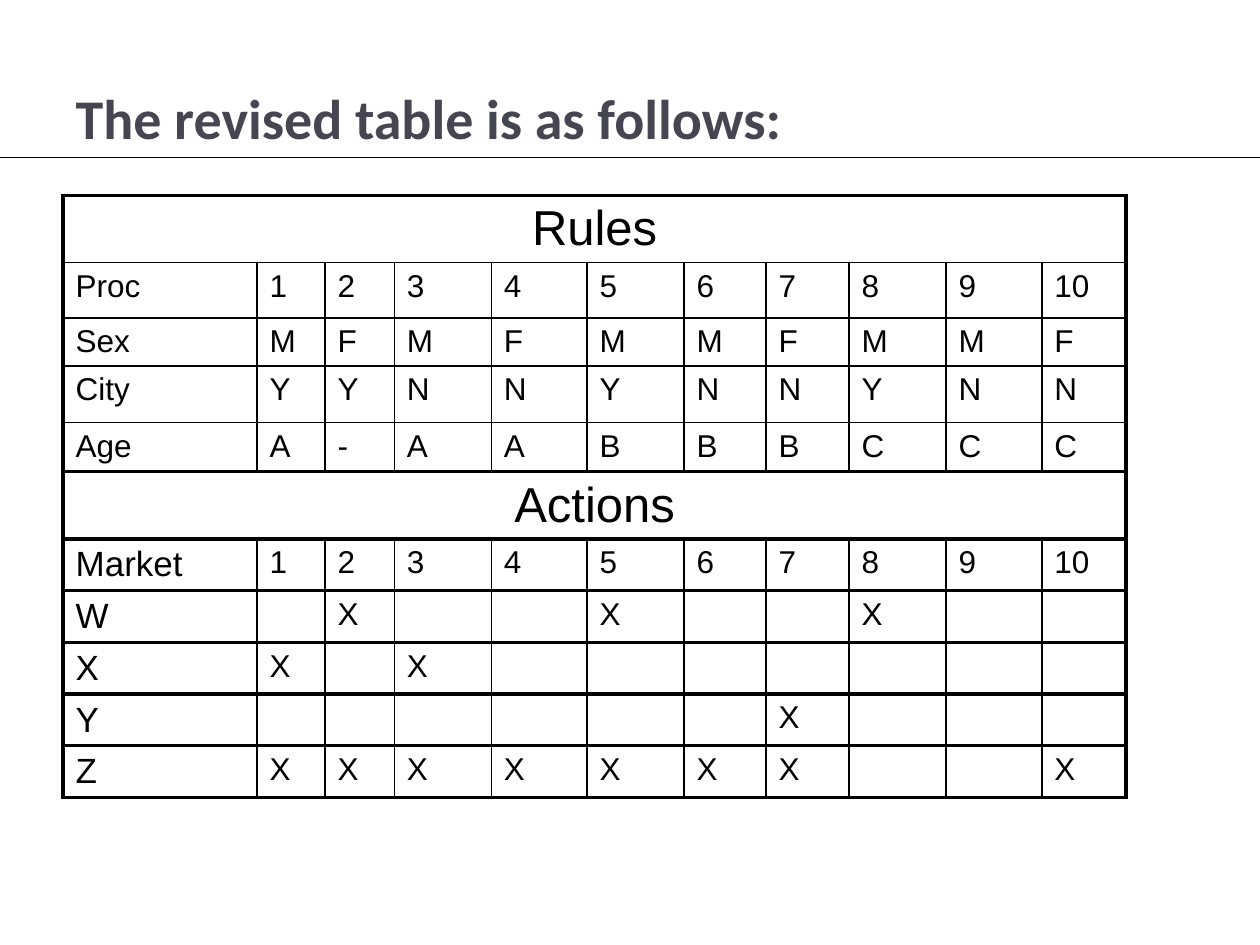
from pptx import Presentation
from pptx.dml.color import RGBColor as RGB
from pptx.enum.shapes import MSO_CONNECTOR as Line
from pptx.enum.text import MSO_ANCHOR as Anchor, PP_ALIGN as Align
from pptx.oxml.ns import qn
from pptx.util import Inches, Pt
from lxml.etree import SubElement, Element

TITLE = "The revised table is as follows:"
RULES = [
    ("Proc", "1 2 3 4 5 6 7 8 9 10"),
    ("Sex", "M F M F M M F M M F"),
    ("City", "Y Y N N Y N N Y N N"),
    ("Age", "A - A A B B B C C C"),
]
MARKETS = {"W": (2, 5, 8), "X": (1, 3), "Y": (7,), "Z": (1, 2, 3, 4, 5, 6, 7, 10)}
COLS = [1.54, 0.54, 0.55, 0.77, 0.76, 0.77, 0.65, 0.66, 0.77, 0.76, 0.67]
ROWS = [0.52, 0.44, 0.36, 0.45, 0.39, 0.52] + [0.39] * 5
THEME = {
    "ink": "000000", "title": "464653", "head": "Calibri", "body": "Arial",
    "title_size": 32, "band_size": 28, "market_size": 20, "cell_size": 18,
    "thin": 1, "thick": 2.25, "rule": 0.75,
}
ACTION_ROW = len(RULES) + 1


def grid():
    rows = [["Rules"]]
    rows += [[name, *marks.split()] for name, marks in RULES]
    rows += [["Actions"], ["Market", *RULES[0][1].split()]]
    for name, hits in MARKETS.items():
        rows.append([name] + ["X" if n in hits else "" for n in range(1, len(COLS))])
    return rows


def style(run, size, font, color, bold=False):
    run.font.size, run.font.name, run.font.bold = Pt(size), font, bold
    run.font.color.rgb = RGB.from_string(color)


def border(cell, widths):
    """Draw the left, right, top and bottom edges, in that order."""
    props = cell._tc.get_or_add_tcPr()
    for i, (side, width) in enumerate(zip("LRTB", widths)):
        edge = Element(qn(f"a:ln{side}"), w=str(Pt(width)))
        fill = SubElement(edge, qn("a:solidFill"))
        SubElement(fill, qn("a:srgbClr"), val=THEME["ink"])
        props.insert(i, edge)


def write(cell, text, size, align):
    cell.text_frame.text = text
    para = cell.text_frame.paragraphs[0]
    para.alignment = align
    gap = SubElement(para._p.get_or_add_pPr(), qn("a:spcBef"))
    SubElement(gap, qn("a:spcPct"), val="20000")
    for run in para.runs:
        style(run, size, THEME["body"], THEME["ink"])


def add_grid(slide):
    rows = grid()
    last = len(COLS)
    table = slide.shapes.add_table(
        len(rows), last, Inches(0.5), Inches(1.55),
        Inches(sum(COLS)), Inches(sum(ROWS))).table
    table.first_row = table.horz_banding = False
    for col, width in zip(table.columns, COLS):
        col.width = Inches(width)
    for row, height in zip(table.rows, ROWS):
        row.height = Inches(height)

    def across(r):
        return THEME["thick" if r == 0 or r >= ACTION_ROW else "thin"]

    def down(c):
        return THEME["thick" if c in (0, last) else "thin"]

    for r, row in enumerate(rows):
        band = len(row) == 1
        for c in range(last):
            cell = table.cell(r, c)
            cell.fill.background()
            sides = (down(0), down(last)) if band else (down(c), down(c + 1))
            border(cell, (*sides, across(r), across(r + 1)))
        if band:
            table.cell(r, 0).merge(table.cell(r, last - 1))
        for c, text in enumerate(row):
            kind = "band" if band else "market" if c == 0 and r > ACTION_ROW else "cell"
            write(table.cell(r, c), text, THEME[f"{kind}_size"],
                  Align.CENTER if band else Align.LEFT)


def add_title(slide):
    title = slide.shapes.title
    title.left, title.top = Inches(0.5), Inches(0.17)
    title.width, title.height = Inches(9), Inches(1.08)
    frame = title.text_frame
    frame.text = TITLE
    frame.vertical_anchor = Anchor.BOTTOM
    frame.paragraphs[0].alignment = Align.LEFT
    style(frame.paragraphs[0].runs[0], THEME["title_size"], THEME["head"],
          THEME["title"], True)


def add_rule(slide, y, width):
    rule = slide.shapes.add_connector(Line.STRAIGHT, 0, y, width, y)
    rule.line.color.rgb = RGB.from_string(THEME["ink"])
    rule.line.width = Pt(THEME["rule"])
    SubElement(rule._element.spPr, qn("a:effectLst"))


def main():
    deck = Presentation()
    deck.slide_width, deck.slide_height = Inches(10), Inches(7.5)
    slide = deck.slides.add_slide(deck.slide_layouts[5])
    add_rule(slide, Inches(1.25), deck.slide_width)
    add_title(slide)
    add_grid(slide)
    deck.save("out.pptx")


if __name__ == "__main__":
    main()
